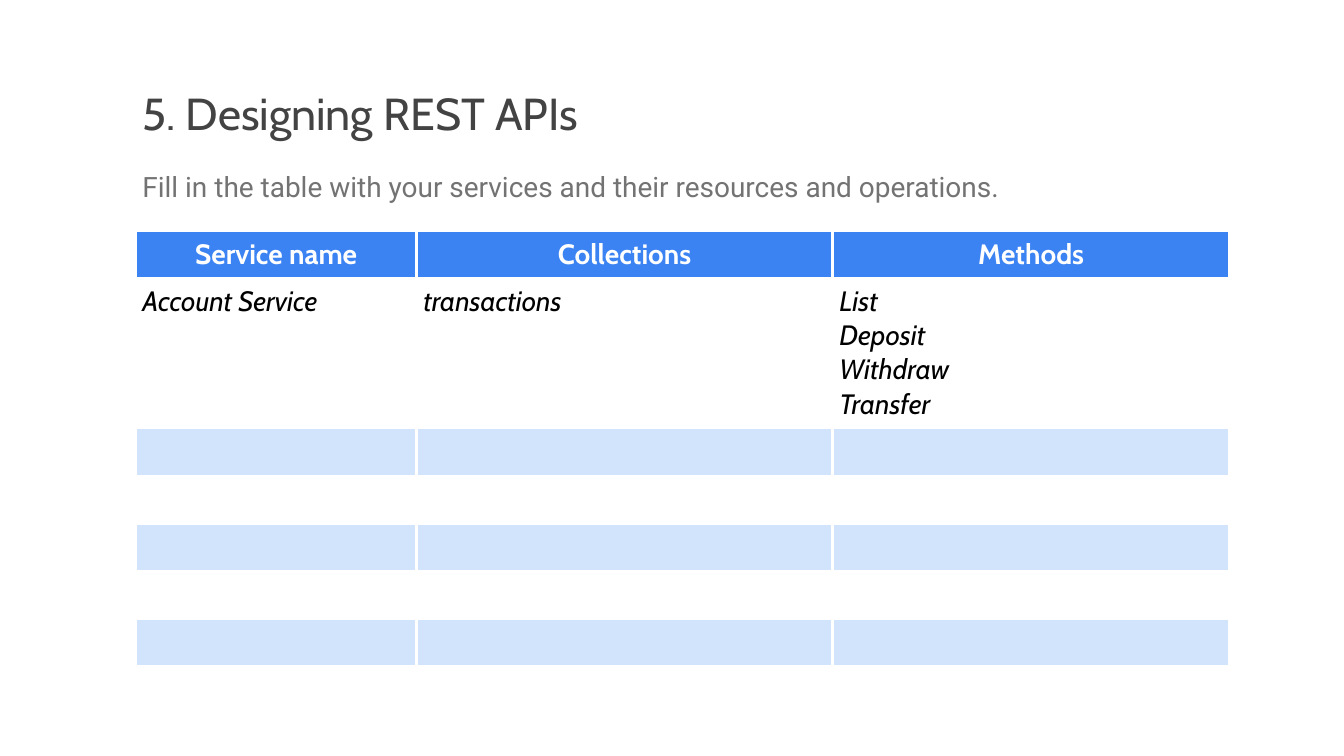
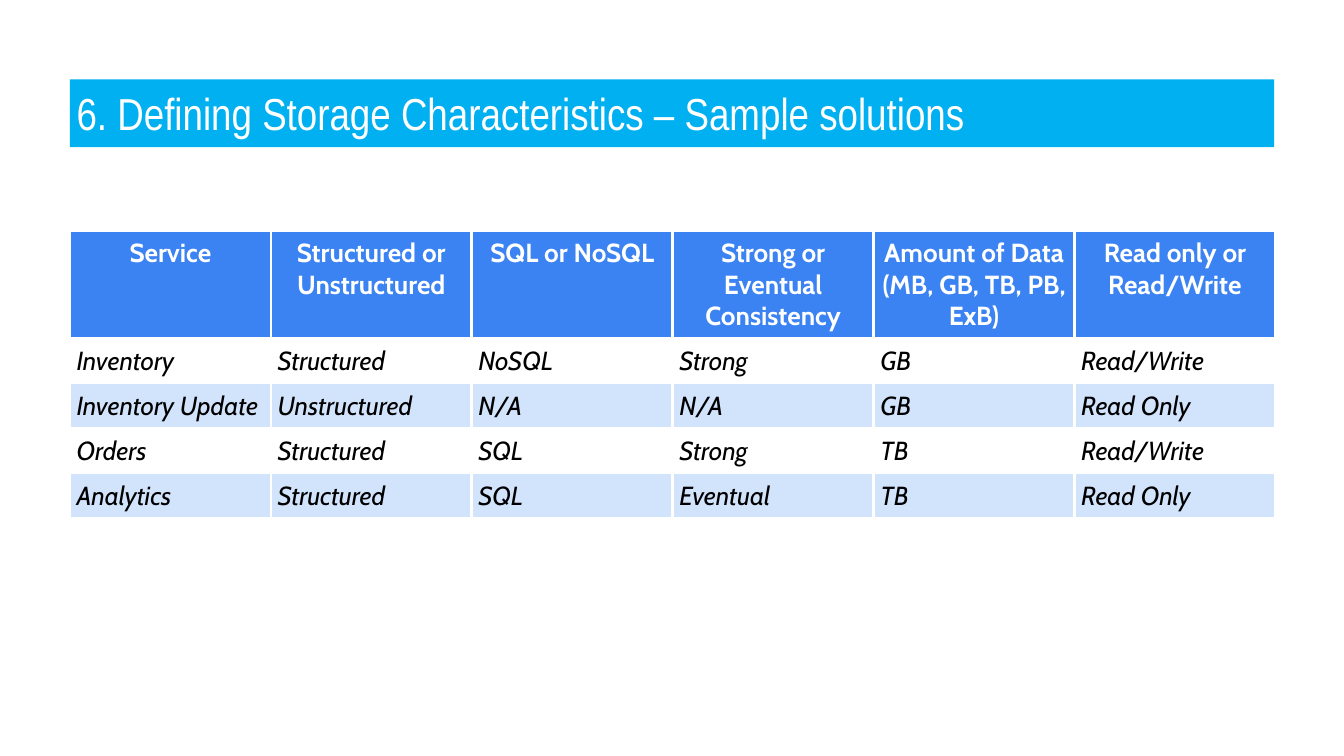
"""Build two slides: the REST API worksheet and the storage sample solutions."""
from dataclasses import dataclass

from lxml.etree import SubElement
from pptx import Presentation
from pptx.dml.color import RGBColor
from pptx.enum.shapes import MSO_SHAPE
from pptx.enum.text import MSO_ANCHOR, PP_ALIGN
from pptx.oxml.ns import qn
from pptx.presentation import Presentation as Deck
from pptx.slide import Slide
from pptx.table import _Cell
from pptx.text.text import TextFrame
from pptx.util import Inches, Pt

COLORS = {
    "title": "434343",
    "subtitle": "737373",
    "band": "00B0F0",
    "header": "3B83F3",
    "stripe": "D2E3FC",
    "white": "FFFFFF",
    "black": "000000",
}
BODY_FONT = "Cabin"
TITLE_TOP = 1.18
TITLE_SIZE = 48
TABLE_TOP = 3.43
INSET = Inches(0.1)
BORDER = Pt(3)


@dataclass
class Box:
    left: float
    top: float
    width: float
    height: float

    def emu(self) -> tuple:
        return tuple(Inches(v) for v in (self.left, self.top, self.width, self.height))


@dataclass
class Grid:
    left: float
    col_widths: list[float]
    row_heights: list[float]
    size: int
    rows: list[list[str]]


def rgb(name: str) -> RGBColor:
    return RGBColor.from_string(COLORS[name])


def write(tf: TextFrame, text: str, *, size: int, color: str, font: str = BODY_FONT,
          bold: bool = False, italic: bool = False, align: PP_ALIGN = PP_ALIGN.LEFT,
          line_spacing: float | None = None, space_after: int = 0) -> None:
    tf.word_wrap = True
    for i, line in enumerate(text.split("\n")):
        p = tf.paragraphs[0] if i == 0 else tf.add_paragraph()
        p.alignment = align
        p.line_spacing = line_spacing
        p.space_after = Pt(space_after)
        r = p.add_run()
        r.text = line
        r.font.size = Pt(size)
        r.font.name = font
        r.font.bold = bold
        r.font.italic = italic
        r.font.color.rgb = rgb(color)


def add_text(s: Slide, box: Box, text: str, *, fill: str | None = None, **fmt) -> None:
    if fill:
        sp = s.shapes.add_shape(MSO_SHAPE.RECTANGLE, *box.emu())
        sp.shadow.inherit = False
        sp.fill.solid()
        sp.fill.fore_color.rgb = rgb(fill)
        sp.line.fill.background()
    else:
        sp = s.shapes.add_textbox(*box.emu())
    tf = sp.text_frame
    tf.margin_left = tf.margin_right = tf.margin_top = tf.margin_bottom = INSET
    tf.vertical_anchor = MSO_ANCHOR.TOP
    write(tf, text, **fmt)


def add_title(s: Slide, box: Box, text: str, **fmt) -> None:
    add_text(s, box, text, size=TITLE_SIZE, **fmt)


def style_cell(cell: _Cell, fill: str | None) -> None:
    cell.margin_left = cell.margin_right = cell.margin_top = cell.margin_bottom = INSET
    tc_pr = cell._tc.get_or_add_tcPr()
    for side in ("a:lnL", "a:lnR", "a:lnT", "a:lnB"):
        ln = SubElement(tc_pr, qn(side), w=str(BORDER))
        solid = SubElement(ln, qn("a:solidFill"))
        SubElement(solid, qn("a:srgbClr"), val=COLORS["white"])
    if fill:
        cell.fill.solid()
        cell.fill.fore_color.rgb = rgb(fill)
    else:
        cell.fill.background()


def add_grid(s: Slide, grid: Grid) -> None:
    box = Box(grid.left, TABLE_TOP, sum(grid.col_widths), sum(grid.row_heights))
    n_rows, n_cols = len(grid.row_heights), len(grid.col_widths)
    table = s.shapes.add_table(n_rows, n_cols, *box.emu()).table
    for column, width in zip(table.columns, grid.col_widths):
        column.width = Inches(width)
    for row, height in zip(table.rows, grid.row_heights):
        row.height = Inches(height)
    for i in range(n_rows):
        fill = "header" if i == 0 else "stripe" if i % 2 == 0 and i < n_rows else None
        if i >= len(grid.rows) and n_cols == len(STORAGE.col_widths):
            fill = None
        for cell in table.rows[i].cells:
            style_cell(cell, fill)
    for i, texts in enumerate(grid.rows):
        fmt = (dict(color="white", bold=True, align=PP_ALIGN.CENTER) if i == 0
               else dict(color="black", italic=True))
        for cell, text in zip(table.rows[i].cells, texts):
            write(cell.text_frame, text, size=grid.size, **fmt)


REST_APIS = Grid(
    left=2.02,
    col_widths=[4.18, 6.19, 5.91],
    row_heights=[0.71, 2.23] + [0.71] * 5,
    size=30,
    rows=[
        ["Service name", "Collections", "Methods"],
        ["Account Service", "transactions", "List\nDeposit\nWithdraw\nTransfer"],
    ],
)
STORAGE = Grid(
    left=1.04,
    col_widths=[2.99] * 6,
    row_heights=[1.6] + [0.67] * 5,
    size=28,
    rows=[
        ["Service", "Structured or Unstructured", "SQL or NoSQL",
         "Strong or Eventual Consistency", "Amount of Data (MB, GB, TB, PB, ExB)",
         "Read only or Read/Write"],
        ["Inventory", "Structured", "NoSQL", "Strong", "GB", "Read/Write"],
        ["Inventory Update", "Unstructured", "N/A", "N/A", "GB", "Read Only"],
        ["Orders", "Structured", "SQL", "Strong", "TB", "Read/Write"],
        ["Analytics", "Structured", "SQL", "Eventual", "TB", "Read Only"],
    ],
)


def add_slide(prs: Deck) -> Slide:
    return prs.slides.add_slide(prs.slide_layouts[6])


def build_rest_apis(prs: Deck) -> None:
    s = add_slide(prs)
    add_title(s, Box(REST_APIS.left, TITLE_TOP, 15.98, 1.18), "5. Designing REST APIs",
              color="title")
    add_text(s, Box(REST_APIS.left, 2.35, 16.28, 0.84),
             "Fill in the table with your services and their resources and operations.",
             size=30, color="subtitle", font="Roboto", line_spacing=1.15, space_after=16)
    add_grid(s, REST_APIS)


def build_storage(prs: Deck) -> None:
    s = add_slide(prs)
    add_title(s, Box(STORAGE.left, TITLE_TOP, 17.92, 1.01),
              "6. Defining Storage Characteristics – Sample solutions",
              color="white", font="Arial Narrow", fill="band")
    add_grid(s, STORAGE)


def main() -> None:
    prs = Presentation()
    prs.slide_width, prs.slide_height = Inches(20), Inches(11.25)
    build_rest_apis(prs)
    build_storage(prs)
    prs.save("out.pptx")


if __name__ == "__main__":
    main()
